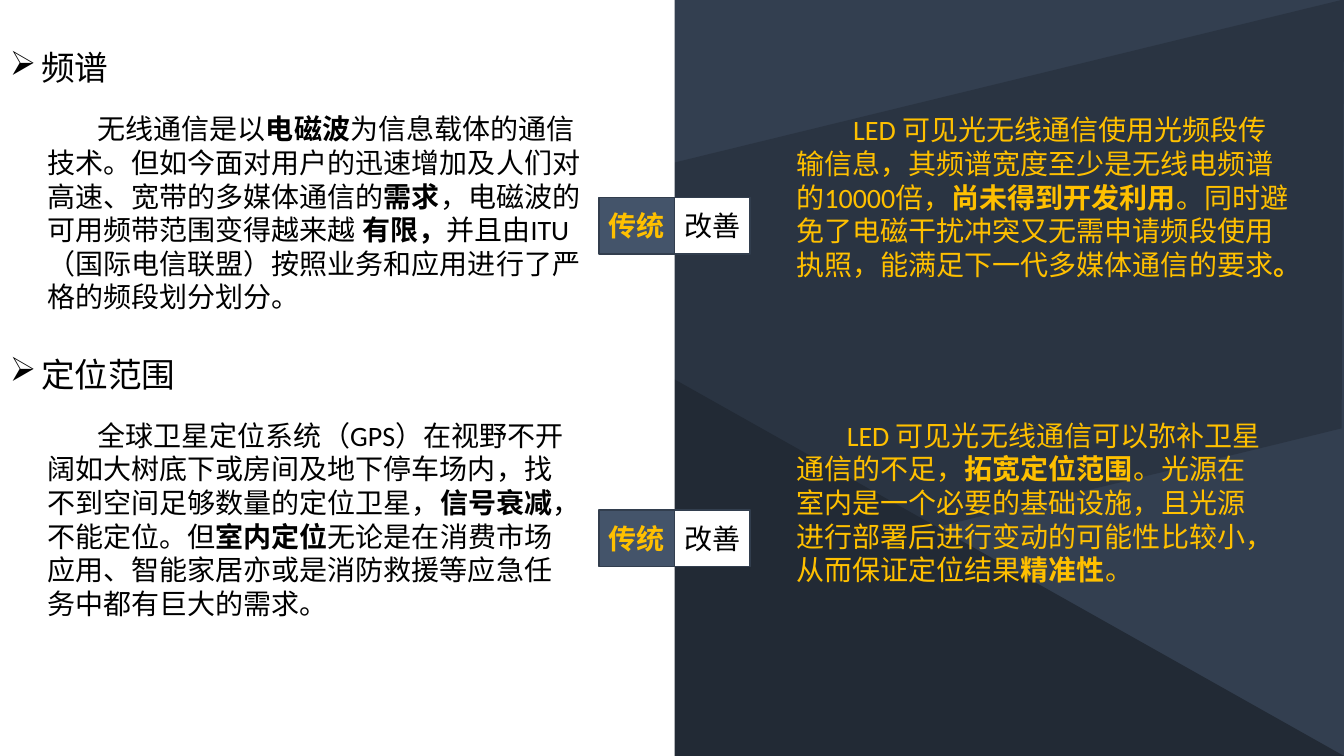
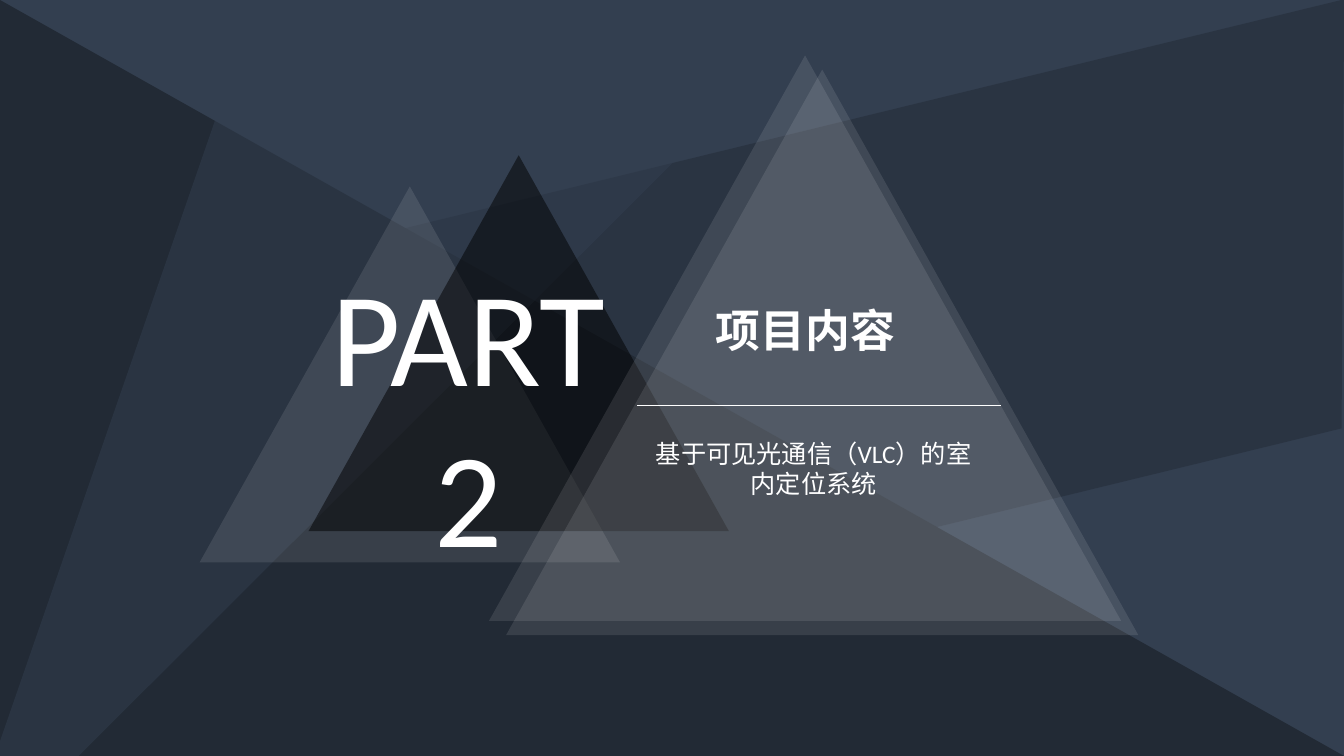
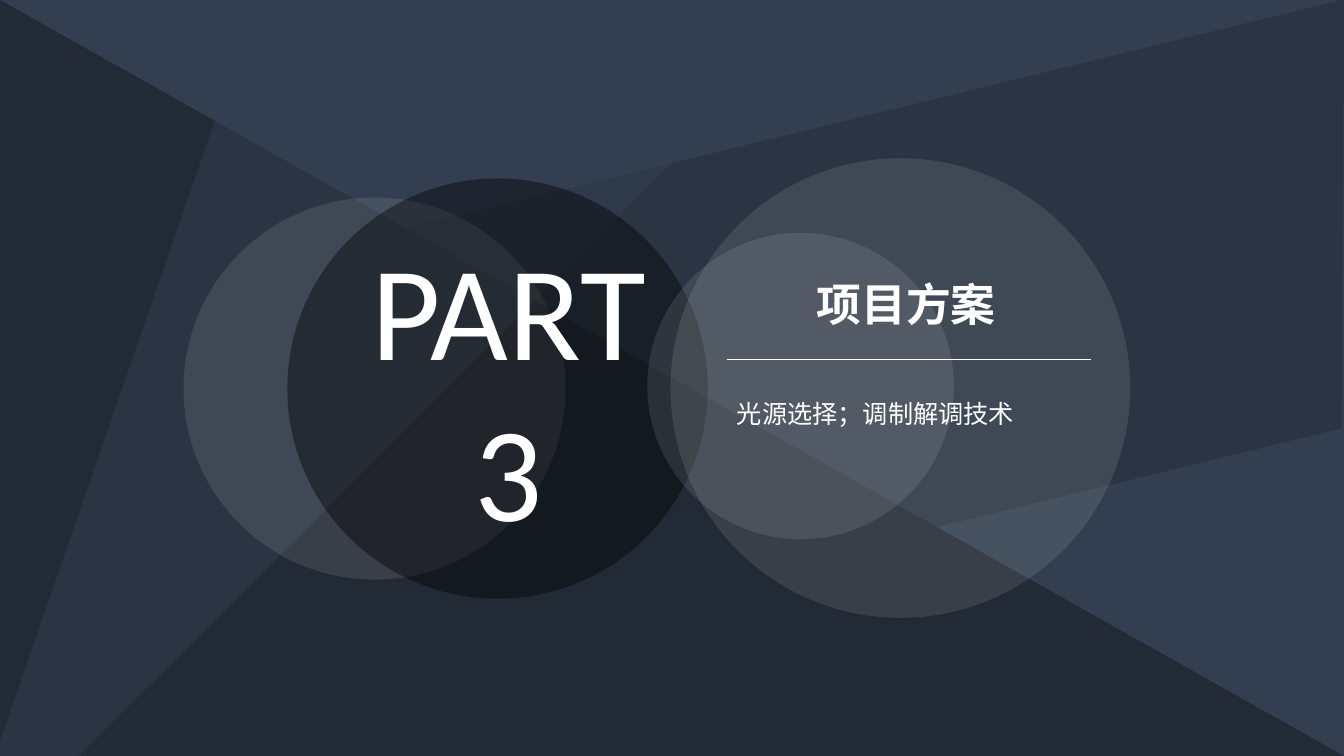
from dataclasses import dataclass
from typing import NamedTuple, Optional

from lxml import etree
from pptx import Presentation
from pptx import util as u
from pptx.dml.color import RGBColor
from pptx.enum import shapes, text
from pptx.oxml.ns import qn


@dataclass(frozen=True)
class Theme:
    night: str = "222A35"
    slate: str = "333F50"
    steel: str = "44546A"
    edge: str = "323E4E"
    gold: str = "FFC000"
    white: str = "FFFFFF"
    black: str = "000000"
    latin: str = "Calibri"
    chinese: str = "Noto Sans CJK SC"
    numeral: int = 96
    title: int = 32
    heading: int = 24
    body: int = 20
    subtitle: int = 18


THEME = Theme()
TRIANGLE = shapes.MSO_SHAPE.ISOSCELES_TRIANGLE
OVAL = shapes.MSO_SHAPE.OVAL
RECTANGLE = shapes.MSO_SHAPE.RECTANGLE
LEFT, CENTER = text.PP_ALIGN.LEFT, text.PP_ALIGN.CENTER
WIDTH, HEIGHT = 13.33, 7.5
DIVIDE = 6.69


class Box(NamedTuple):
    left: float
    top: float
    width: float
    height: float

    def lengths(self) -> list:
        return [u.Inches(value) for value in self]


class Facet(NamedTuple):
    """A borderless, possibly translucent shape; opacity is in percent."""
    kind: shapes.MSO_SHAPE
    box: Box
    color: str
    opacity: int = 100
    rotation: float = 0
    adjustment: Optional[float] = None


class Comparison(NamedTuple):
    heading: str
    heading_box: Box
    traditional: str
    traditional_box: Box
    improved: str
    improved_box: Box
    label_top: float


class Section(NamedTuple):
    number: str
    number_box: Box
    title: str
    title_box: Box
    rule_left: float
    rule_top: float
    subtitle: str
    subtitle_box: Box
    subtitle_format: dict
    facets: list


BACKDROP = [
    Facet(TRIANGLE, Box(0, 0, WIDTH, HEIGHT), THEME.night, adjustment=0),
    Facet(shapes.MSO_SHAPE.PARALLELOGRAM, Box(-0.71, 1.68, 14.74, 4.13),
          THEME.night, 50, 346.3),
    Facet(TRIANGLE, Box(1.18, -1.16, 5.41, 11.12), THEME.slate, 50, 199.1, 1),
]

COMPARISONS = [
    Comparison(
        "频谱", Box(0, 0.42, 2.92, 0.5),
        "无线通信是以**电磁波**为信息载体的通信技术。但如今面对用户的迅速增加及人们对"
        "高速、宽带的多媒体通信的**需求**，电磁波的可用频带范围变得越来越 **有限，**"
        "并且由ITU（国际电信联盟）按照业务和应用进行了严格的频段划分划分。",
        Box(0.37, 1.06, 5.57, 2.12),
        " LED 可见光无线通信使用光频段传输信息，其频谱宽度至少是无线电频谱的10000倍，"
        "**尚未得到开发利用**。同时避免了电磁干扰冲突又无需申请频段使用执照，"
        "能满足下一代多媒体通信的要求**。**",
        Box(7.8, 1.07, 5.14, 1.78), 1.96),
    Comparison(
        "定位范围", Box(0, 3.46, 2.33, 0.5),
        "全球卫星定位系统（GPS）在视野不开阔如大树底下或房间及地下停车场内，"
        "找不到空间足够数量的定位卫星，**信号衰减**，不能定位。但**室内定位**"
        "无论是在消费市场应用、智能家居亦或是消防救援等应急任务中都有巨大的需求。",
        Box(0.37, 4.1, 5.44, 2.12),
        "LED 可见光无线通信可以弥补卫星通信的不足，**拓宽定位范围**。"
        "光源在室内是一个必要的基础设施，且光源进行部署后进行变动的可能性比较小，"
        "从而保证定位结果**精准性**。",
        Box(7.8, 4.1, 4.89, 1.78), 5.06),
]

SECTIONS = [
    Section("2", Box(3.06, 2.45, 3.17, 3.33), "项目内容", Box(7, 2.95, 2.17, 0.64),
            6.32, 4.02, "基于可见光通信（VLC）的室内定位系统", Box(6.32, 4.3, 3.5, 0.71),
            dict(align=CENTER),
            [Facet(TRIANGLE, Box(1.98, 1.85, 4.17, 3.73), THEME.white, 10),
             Facet(TRIANGLE, Box(3.06, 1.54, 4.17, 3.73), THEME.black, 50),
             Facet(TRIANGLE, Box(4.85, 0.55, 6.27, 5.61), THEME.white, 10),
             Facet(TRIANGLE, Box(5.02, 0.69, 6.27, 5.61), THEME.white, 10)]),
    Section("3", Box(3.46, 2.19, 3.17, 3.33), "项目方案", Box(8, 2.7, 2.03, 0.64),
            7.21, 3.57, "光源选择；调制解调技术", Box(7.21, 3.81, 3.82, 0.49),
            dict(font=THEME.chinese, spacing=1.3),
            [Facet(OVAL, Box(1.82, 1.96, 3.79, 3.79), THEME.white, 10),
             Facet(OVAL, Box(2.85, 1.77, 4.17, 4.17), THEME.black, 40),
             Facet(OVAL, Box(6.42, 2.31, 3.04, 3.04), THEME.white, 10),
             Facet(OVAL, Box(6.65, 1.57, 4.56, 4.56), THEME.white, 10)]),
]


def write(frame, content: str, *, size: int, color: str, font: str = THEME.latin,
          bold: bool = False, align=LEFT, spacing: Optional[float] = None,
          margin: float = 0, indent: float = 0, bullet: str = "") -> None:
    """Fill a text frame; newlines divide paragraphs and ** toggles bold."""
    frame.word_wrap = True
    for index, line in enumerate(content.split("\n")):
        paragraph = frame.add_paragraph() if index else frame.paragraphs[0]
        paragraph.alignment = align
        if spacing:
            paragraph.line_spacing = spacing
        properties = paragraph._p.get_or_add_pPr()
        properties.set("marL", str(u.Inches(margin)))
        properties.set("indent", str(u.Inches(indent)))
        if bullet:
            etree.SubElement(properties, qn("a:buChar")).set("char", bullet)
        for position, words in enumerate(line.split("**")):
            if not words:
                continue
            run = paragraph.add_run()
            run.text = words
            run.font.name = font
            run.font.size = u.Pt(size)
            run.font.bold = bold or position % 2 == 1
            run.font.color.rgb = RGBColor.from_string(color)
            east_asian = etree.SubElement(run._r.get_or_add_rPr(), qn("a:ea"))
            east_asian.set("typeface", THEME.chinese)


def add_text(slide, box: Box, content: str, **text_format) -> None:
    frame = slide.shapes.add_textbox(*box.lengths()).text_frame
    write(frame, content, **text_format)
    frame.auto_size = text.MSO_AUTO_SIZE.SHAPE_TO_FIT_TEXT


def add_facet(slide, facet: Facet):
    shape = slide.shapes.add_shape(facet.kind, *facet.box.lengths())
    shape.shadow.inherit = False
    shape.rotation = facet.rotation
    if facet.adjustment is not None:
        shape.adjustments[0] = facet.adjustment
    shape.fill.solid()
    shape.fill.fore_color.rgb = RGBColor.from_string(facet.color)
    shape.line.fill.background()
    if facet.opacity < 100:
        color = shape.element.spPr.find(f"{qn('a:solidFill')}/{qn('a:srgbClr')}")
        etree.SubElement(color, qn("a:alpha")).set("val", str(facet.opacity * 1000))
    return shape


def add_label(slide, box: Box, content: str, fill: str, **text_format) -> None:
    label = add_facet(slide, Facet(RECTANGLE, box, fill))
    label.line.color.rgb = RGBColor.from_string(THEME.edge)
    label.line.width = u.Pt(1)
    frame = label.text_frame
    frame.margin_left = frame.margin_right = 0
    frame.vertical_anchor = text.MSO_ANCHOR.MIDDLE
    write(frame, content, size=THEME.body, align=CENTER, **text_format)


def add_rule(slide, left: float, top: float, length: float = 3.61) -> None:
    rule = slide.shapes.add_connector(
        shapes.MSO_CONNECTOR.STRAIGHT,
        *(u.Inches(value) for value in (left, top, left + length, top)))
    rule.line.color.rgb = RGBColor.from_string(THEME.white)
    rule.line.width = u.Pt(0.5)
    etree.SubElement(rule.element.spPr, qn("a:effectLst"))


def install_backdrop(layout, slide) -> None:
    """Draw the backdrop on the slide, then move it to the layout all slides share."""
    background = layout.background.fill
    background.solid()
    background.fore_color.rgb = RGBColor.from_string(THEME.slate)
    for placeholder in list(layout.placeholders):
        layout.shapes.element.remove(placeholder.element)
    for facet in BACKDROP:
        layout.shapes.element.append(add_facet(slide, facet).element)


def draw_comparisons(slide) -> None:
    add_facet(slide, Facet(RECTANGLE, Box(0, 0, DIVIDE, HEIGHT), THEME.white))
    label_width, label_height = 0.75, 0.56
    for item in COMPARISONS:
        add_text(slide, item.heading_box, item.heading, size=THEME.heading,
                 color=THEME.black, margin=0.31, indent=-0.31, bullet="➢")
        add_text(slide, item.traditional_box, item.traditional, size=THEME.body,
                 color=THEME.black, indent=0.5)
        add_text(slide, item.improved_box, item.improved, size=THEME.body,
                 color=THEME.gold, indent=0.5)
        add_label(slide, Box(DIVIDE - label_width, item.label_top, label_width, label_height),
                  "传统", THEME.steel, color=THEME.gold, bold=True)
        add_label(slide, Box(DIVIDE, item.label_top, label_width, label_height),
                  "改善", THEME.white, color=THEME.black)


def draw_section(slide, section: Section) -> None:
    for facet in section.facets:
        add_facet(slide, facet)
    add_text(slide, section.number_box, f"PART\n{section.number}", size=THEME.numeral,
             color=THEME.white, align=CENTER)
    add_text(slide, section.title_box, section.title, size=THEME.title,
             color=THEME.white, font=THEME.chinese, bold=True)
    add_rule(slide, section.rule_left, section.rule_top)
    add_text(slide, section.subtitle_box, section.subtitle, size=THEME.subtitle,
             color=THEME.white, **section.subtitle_format)


def main() -> None:
    deck = Presentation()
    deck.slide_width, deck.slide_height = u.Inches(WIDTH), u.Inches(HEIGHT)
    blank = deck.slide_layouts[6]
    comparison_slide = deck.slides.add_slide(blank)
    install_backdrop(blank, comparison_slide)
    draw_comparisons(comparison_slide)
    for section in SECTIONS:
        draw_section(deck.slides.add_slide(blank), section)
    deck.save("out.pptx")


if __name__ == "__main__":
    main()
